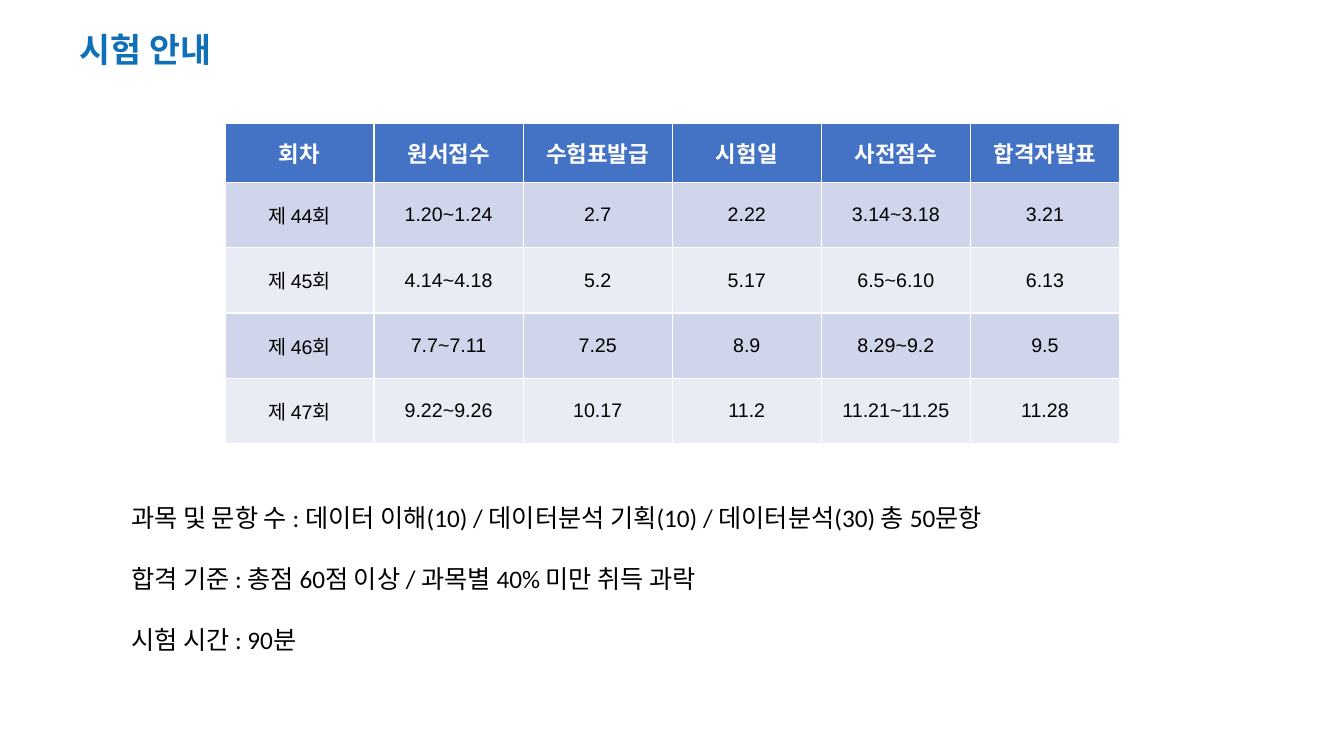
from lxml import etree
from pptx import Presentation
from pptx import util as u
from pptx.dml.color import RGBColor
from pptx.enum import text
from pptx.oxml import ns

BLUE = RGBColor(0x0F, 0x70, 0xB7)
HEADER = RGBColor(0x44, 0x72, 0xC4)
BAND_DARK = RGBColor(0xCF, 0xD5, 0xEA)
BAND_LIGHT = RGBColor(0xE9, 0xEB, 0xF5)
WHITE = RGBColor(0xFF, 0xFF, 0xFF)
BLACK = RGBColor(0, 0, 0)


def write(para, words, size, color=BLACK, font="Arial", bold=False,
          align=text.PP_ALIGN.LEFT, before=0, line=1.0):
    para.alignment = align
    para.space_before = u.Pt(before)
    para.line_spacing = line
    span = para.add_run()
    span.text = words
    span.font.size = u.Pt(size)
    span.font.name = font
    span.font.bold = bold
    span.font.color.rgb = color


def place(box, left, top, width, height):
    box.left, box.top = u.Pt(left), u.Pt(top)
    box.width, box.height = u.Pt(width), u.Pt(height)


deck = Presentation()
deck.slide_width, deck.slide_height = u.Pt(960), u.Pt(540)
page = deck.slides.add_slide(deck.slide_layouts[1])
title, body = page.placeholders[0], page.placeholders[1]

# Title
place(title, 0, 5.8, 720, 47.5)
frame = title.text_frame
frame.auto_size = text.MSO_AUTO_SIZE.NONE
frame.vertical_anchor = text.MSO_ANCHOR.BOTTOM
frame.margin_left = u.Pt(57)
write(frame.paragraphs[0], "시험 안내", 24, BLUE, bold=True, line=0.9)

# Exam schedule
schedule = [
    ["회차", "원서접수", "수험표발급", "시험일", "사전점수", "합격자발표"],
    ["제 44회", "1.20~1.24", "2.7", "2.22", "3.14~3.18", "3.21"],
    ["제 45회", "4.14~4.18", "5.2", "5.17", "6.5~6.10", "6.13"],
    ["제 46회", "7.7~7.11", "7.25", "8.9", "8.29~9.2", "9.5"],
    ["제 47회", "9.22~9.26", "10.17", "11.2", "11.21~11.25", "11.28"],
]
table = page.shapes.add_table(5, 6, u.Pt(160.7), u.Pt(88), u.Pt(639), u.Pt(229)).table
for column in table.columns:
    column.width = u.Pt(106.5)
for r, entries in enumerate(schedule):
    header = r == 0
    table.rows[r].height = u.Pt(42.2 if header else 46.7)
    fill = HEADER if header else BAND_DARK if r % 2 else BAND_LIGHT
    for c, entry in enumerate(entries):
        cell = table.cell(r, c)
        cell.fill.solid()
        cell.fill.fore_color.rgb = fill
        cell.vertical_anchor = text.MSO_ANCHOR.MIDDLE
        write(cell.text_frame.paragraphs[0], entry, 16 if header else 14,
              WHITE if header else BLACK, bold=header, align=text.PP_ALIGN.CENTER)

# Exam rules
rules = [
    "과목 및 문항 수 : 데이터 이해(10) / 데이터분석 기획(10) / 데이터분석(30) 총 50문항",
    "합격 기준 : 총점 60점 이상 / 과목별 40% 미만 취득 과락",
    "시험 시간 : 90분",
]
place(body, 86.4, 355, 787, 116.6)
frame = body.text_frame
frame.auto_size = text.MSO_AUTO_SIZE.NONE
for i, rule in enumerate(rules):
    para = frame.add_paragraph() if i else frame.paragraphs[0]
    write(para, rule, 18, font="Calibri", before=22 if i else 0)
    # No bullet and no hanging indent
    properties = para._p.get_or_add_pPr()
    properties.set("marL", "0")
    properties.set("indent", "0")
    etree.SubElement(properties, ns.qn("a:buNone"))

deck.save("out.pptx")
